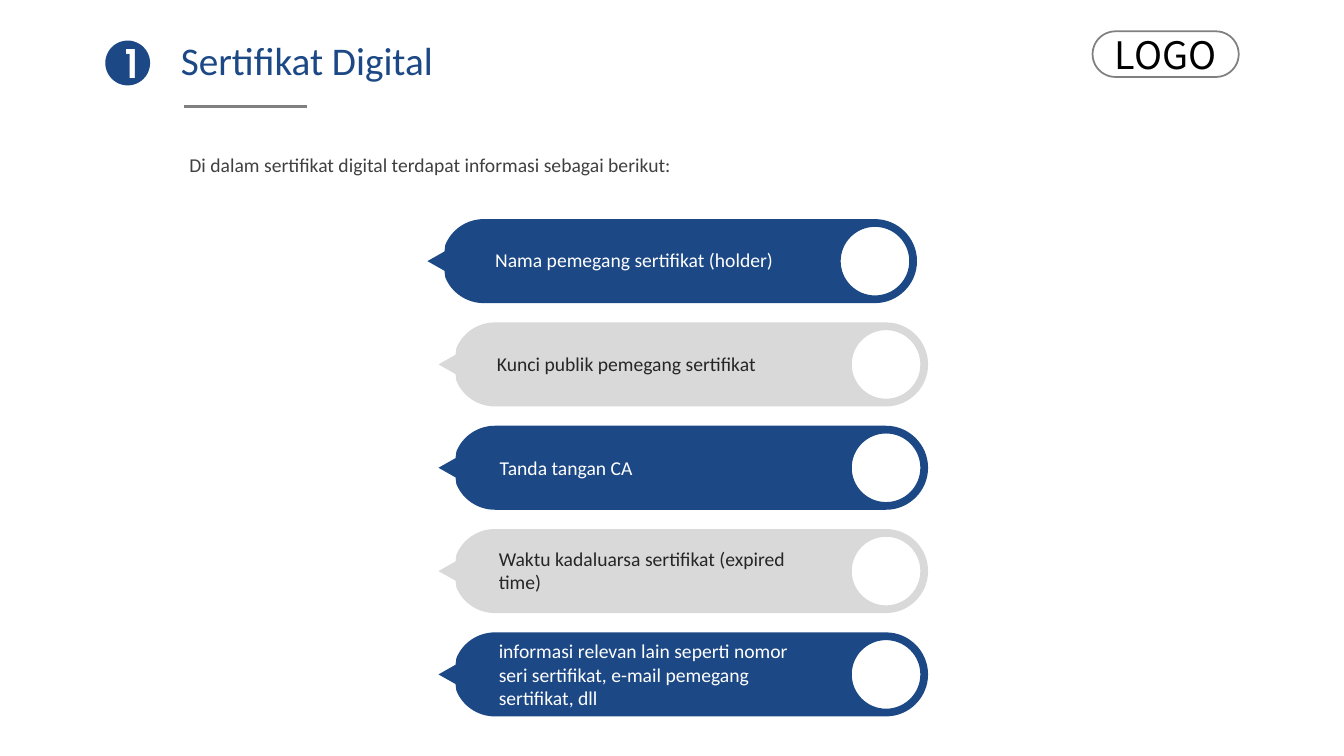
from dataclasses import dataclass

from lxml.etree import SubElement
from pptx import Presentation
from pptx.dml.color import RGBColor
from pptx.enum.shapes import MSO_CONNECTOR, MSO_SHAPE
from pptx.enum.text import MSO_ANCHOR, MSO_AUTO_SIZE, PP_ALIGN
from pptx.oxml.ns import qn
from pptx.util import Pt


@dataclass(frozen=True)
class Theme:
    blue: RGBColor = RGBColor(0x1C, 0x48, 0x85)
    pale: RGBColor = RGBColor(0xD9, 0xD9, 0xD9)
    rule: RGBColor = RGBColor(0x80, 0x80, 0x80)
    intro: RGBColor = RGBColor(0x40, 0x40, 0x40)
    dark: RGBColor = RGBColor(0x26, 0x26, 0x26)
    black: RGBColor = RGBColor(0, 0, 0)
    white: RGBColor = RGBColor(0xFF, 0xFF, 0xFF)
    font: str = "Calibri"
    number_font: str = "TeX Gyre Adventor"
    logo_font: str = "Noto Sans CJK SC"
    heading: int = 28
    logo: int = 27
    body: int = 14


theme = Theme()


def write(shape, text, size, color, font=theme.font, align=PP_ALIGN.LEFT, bold=None, inset=None):
    frame = shape.text_frame
    frame.word_wrap = True
    frame.auto_size = MSO_AUTO_SIZE.NONE
    frame.vertical_anchor = MSO_ANCHOR.MIDDLE
    if inset is not None:
        frame.margin_left = frame.margin_right = Pt(inset)
        frame.margin_top = frame.margin_bottom = Pt(inset)
    paragraph = frame.paragraphs[0]
    paragraph.alignment = align
    run = paragraph.add_run()
    run.text = text
    run.font.size = Pt(size)
    run.font.name = font
    run.font.bold = bold
    run.font.color.rgb = color


def add_callout(tip, middle, contours):
    """Draw contours of (along, across) points upright, then turn them so that the tip points left."""
    center = tip + LENGTH / 2
    top = middle - LENGTH / 2
    builder = None
    for start, *segments in contours:
        points = [
            (Pt(center - across), Pt(top + along))
            for along, across in [start] + [point for segment in segments for point in segment]
        ]
        if builder is None:
            builder = slide.shapes.build_freeform(*points[0])
        else:
            builder.move_to(*points[0])
        builder.add_line_segments(points[1:], close=True)
    callout = builder.convert_to_shape()

    # Segments of three points are curves
    steps = iter(list(callout._element.iter(qn("a:lnTo"))))
    for segment in [segment for _, *segments in contours for segment in segments]:
        first, *others = [next(steps) for _ in segment]
        if others:
            first.tag = qn("a:cubicBezTo")
            for other in others:
                first.append(other[0])
                other.getparent().remove(other)
    callout.rotation = 270
    return callout


deck = Presentation()
deck.slide_width, deck.slide_height = Pt(960), Pt(540)
slide = deck.slides.add_slide(deck.slide_layouts[5])
shapes = slide.shapes

# Heading
title = shapes.title
title.left, title.top, title.width, title.height = Pt(122), Pt(22.3), Pt(453.6), Pt(41)
write(title, "Sertifikat Digital", theme.heading, theme.blue)

number = shapes.add_shape(MSO_SHAPE.OVAL, Pt(75.2), Pt(29), Pt(32), Pt(32))
number.shadow.inherit = False
number.fill.solid()
number.fill.fore_color.rgb = theme.blue
number.line.fill.background()
write(number, "1", theme.heading, theme.white, theme.number_font, PP_ALIGN.CENTER, True, 0)
number.text_frame.margin_left = Pt(5.8)

underline = shapes.add_connector(MSO_CONNECTOR.STRAIGHT, Pt(131.6), Pt(76.3), Pt(219), Pt(76.3))
underline.line.color.rgb = theme.rule
underline.line.width = Pt(2)
SubElement(underline._element.spPr, qn("a:effectLst"))

logo = shapes.add_shape(MSO_SHAPE.ROUNDED_RECTANGLE, Pt(780.4), Pt(22.4), Pt(104.4), Pt(32.6))
logo.adjustments[0] = 0.5
logo.shadow.inherit = False
logo.fill.background()
logo.line.color.rgb = theme.rule
logo.line.width = Pt(1.25)
write(logo, "LOGO", theme.logo, theme.black, theme.logo_font, PP_ALIGN.CENTER, inset=0)

intro = shapes.add_textbox(Pt(128.2), Pt(105.7), Pt(743.8), Pt(24.3))
write(intro, "Di dalam sertifikat digital terdapat informasi sebagai berikut:", theme.body, theme.intro)

# Callout outline: a round-ended bar with a tip at one end and a round hole at the other
LENGTH = 349.7
CAP, CAP_PULL = 30, 16.5
HOLE, HOLE_PULL = 24.5, 13.5
near, far = 40.3, LENGTH - CAP
hole = [
    (far, -HOLE),
    [(far - HOLE_PULL, -HOLE), (far - HOLE, -HOLE_PULL), (far - HOLE, 0)],
    [(far - HOLE, HOLE_PULL), (far - HOLE_PULL, HOLE), (far, HOLE)],
    [(far + HOLE_PULL, HOLE), (far + HOLE, HOLE_PULL), (far + HOLE, 0)],
    [(far + HOLE, -HOLE_PULL), (far + HOLE_PULL, -HOLE), (far, -HOLE)],
]
bar = [
    (near, -CAP),
    [(far, -CAP)],
    [(far + CAP_PULL, -CAP), (LENGTH, -CAP_PULL), (LENGTH, 0)],
    [(LENGTH, CAP_PULL), (far + CAP_PULL, CAP), (far, CAP)],
    [(near, CAP)],
    [(28, CAP), (17.2, 22.5), (12.8, 11.6)],
    [(12.2, 6.9)],
    [(0, 0)],
    [(12.2, -6.9)],
    [(12.8, -11.6)],
    [(17.2, -22.5), (28, -CAP), (near, -CAP)],
]

# Certificate contents: tip x, label x, label y, label height, alignment, label
contents = [
    (305.3, 334.1, 173.5, 24.3, PP_ALIGN.RIGHT, "Nama pemegang sertifikat (holder)"),
    (313.2, 321.8, 247.5, 24.3, PP_ALIGN.RIGHT, "Kunci publik pemegang sertifikat"),
    (313.2, 349.9, 321.8, 24.3, PP_ALIGN.LEFT, "Tanda tangan CA"),
    (313.2, 349.2, 386.5, 41.2, PP_ALIGN.LEFT, "Waktu kadaluarsa sertifikat (expired time)"),
    (313.2, 349.2, 452.7, 58.2, PP_ALIGN.LEFT,
     "informasi relevan lain seperti nomor seri sertifikat, e-mail pemegang sertifikat, dll"),
]
first_row, row_pitch = 186.5, 73.8

for row, (tip, left, top, height, align, text) in enumerate(contents):
    fill, ink = (theme.pale, theme.dark) if row % 2 else (theme.blue, theme.white)
    callout = add_callout(tip, first_row + row * row_pitch, [hole, bar])
    callout.shadow.inherit = False
    callout.fill.solid()
    callout.fill.fore_color.rgb = fill
    callout.line.fill.background()

    label = shapes.add_textbox(Pt(left), Pt(top), Pt(225.4), Pt(height))
    write(label, text, theme.body, ink, align=align)

deck.save("out.pptx")
